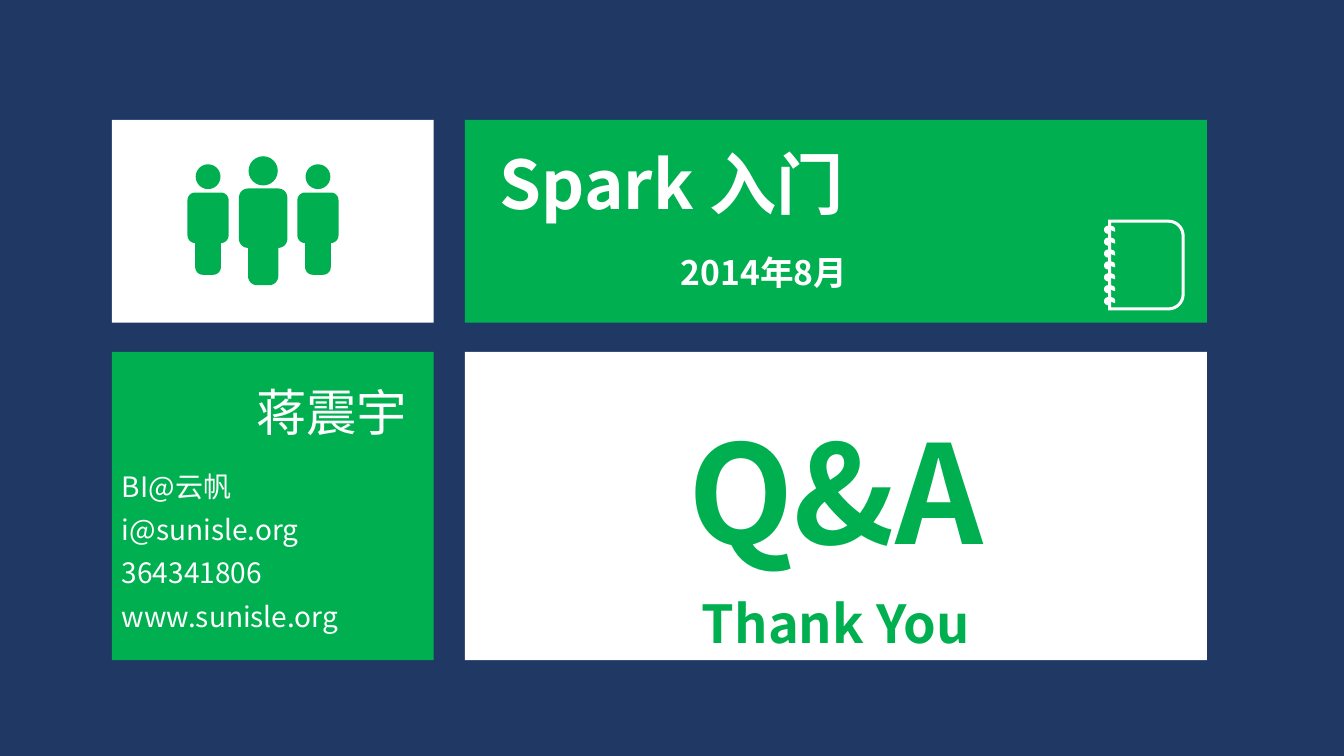
from math import cos, radians, sin

from lxml.etree import SubElement
from pptx import Presentation
from pptx.dml.color import RGBColor
from pptx.enum.shapes import MSO_SHAPE
from pptx.enum.text import MSO_ANCHOR, MSO_AUTO_SIZE, PP_ALIGN
from pptx.oxml.ns import qn
from pptx.util import Inches, Pt

# Content
TITLE = "Spark 入门"
DATE = "2014年8月"
SPEAKER = "蒋震宇"
CONTACTS = ["BI@云帆", "i@sunisle.org", "364341806", "www.sunisle.org"]
CLOSING = [("Q&A", 97.8), ("Thank You", 37.4)]

# Theme
THEME = {
    "navy": RGBColor(0x20, 0x38, 0x64),
    "green": RGBColor(0x00, 0xB0, 0x50),
    "white": RGBColor(0xFF, 0xFF, 0xFF),
    "font": "Noto Sans CJK SC",
    "title": 48, "speaker": 36, "date": 24, "contact": 20,
}

# Layout: two columns (left, width) and two rows (top, height), in inches
COLUMNS = [(1.11, 3.19), (4.61, 7.36)]
ROWS = [(1.19, 2.01), (3.49, 3.06)]
# People: body left, body top, scale, head top
PEOPLE = [(2.37, 1.87, 1, 1.55), (2.95, 1.91, 0.85, 1.63), (1.86, 1.91, 0.85, 1.63)]
RINGS = [2.28 + 0.118 * i for i in range(7)]


def paint(shape, color):
    shape.shadow.inherit = False
    shape.fill.solid()
    shape.fill.fore_color.rgb = THEME[color]
    shape.line.fill.background()
    return shape


def add_block(shapes, kind, box, color):
    return paint(shapes.add_shape(kind, *map(Inches, box)), color)


def add_card(col, row, color):
    (x, w), (y, h) = COLUMNS[col], ROWS[row]
    return add_block(s.shapes, MSO_SHAPE.RECTANGLE, (x, y, w, h), color)


def add_textbox(box, wrap=True):
    tf = s.shapes.add_textbox(*map(Inches, box)).text_frame
    tf.word_wrap = wrap
    tf.auto_size = MSO_AUTO_SIZE.SHAPE_TO_FIT_TEXT
    return tf


def write(tf, text, size, color="white", bold=False, align=PP_ALIGN.LEFT, spacing=None):
    p = tf.paragraphs[0]
    if p.runs:
        p = tf.add_paragraph()
    p.alignment = align
    p.line_spacing = spacing
    r = p.add_run()
    r.text = text
    r.font.name = THEME["font"]
    r.font.size = Pt(size)
    r.font.bold = bold
    r.font.color.rgb = THEME[color]
    SubElement(r.font._element, qn("a:ea")).set("typeface", THEME["font"])


def arc(cx, cy, radius, start, sweep=90, steps=8):
    angles = [radians(start + sweep * i / steps) for i in range(steps + 1)]
    return [(cx + radius * cos(a), cy + radius * sin(a)) for a in angles]


def add_outline(shapes, contours, color):
    contours = [[(Inches(x), Inches(y)) for x, y in c] for c in contours]
    builder = shapes.build_freeform(*contours[0][0])
    for i, points in enumerate(contours):
        if i:
            builder.move_to(*points[0])
        builder.add_line_segments(points[1:], close=True)
    return paint(builder.convert_to_shape(), color)


def body(x, y, k):
    w, waist, h, c = 0.48 * k, 0.59 * k, 0.96 * k, 0.09 * k
    left, right = x + c, x + w - c
    return (arc(left, y + c, c, 180) + arc(right, y + c, c, 270)
            + arc(right, y + waist - c, c, 0)
            + arc(right - c, y + h - c, c, 0) + arc(left + c, y + h - c, c, 90)
            + arc(left, y + waist - c, c, 90))


def notebook():
    cover = [(10.99, 2.18)] + arc(11.59, 2.34, 0.16, 270) + arc(11.59, 2.92, 0.16, 0)
    cover.append((10.99, 3.08))
    for y in reversed(RINGS):
        cover += arc(10.99, y, 0.04, 90, 180)
    page = [(11.02, 3.05)] + arc(11.59, 2.92, 0.13, 90, -90)
    page += arc(11.59, 2.34, 0.13, 0, -90) + [(11.02, 2.21)]
    hook = [(11.02, -0.04), (11.05, -0.03), (11.06, -0.01),
            (11.06, 0.02), (11.03, 0.01), (11.02, 0)]
    page += [(x, y + dy) for y in RINGS for x, dy in hook]
    return [cover, page]


prs = Presentation()
prs.slide_width, prs.slide_height = Inches(13.33), Inches(7.5)
s = prs.slides.add_slide(prs.slide_layouts[6])
s.background.fill.solid()
s.background.fill.fore_color.rgb = THEME["navy"]

# Cards
add_card(1, 0, "green")
closing = add_card(1, 1, "white").text_frame
add_card(0, 0, "white")
contact = add_card(0, 1, "green").text_frame

# Closing words and contact lines
closing.word_wrap = contact.word_wrap = True
closing.vertical_anchor = MSO_ANCHOR.MIDDLE
for text, size in CLOSING:
    write(closing, text, size, color="green", bold=True, align=PP_ALIGN.CENTER, spacing=1.3)
contact.vertical_anchor = MSO_ANCHOR.BOTTOM
contact.margin_bottom = Inches(0.27)
for text in CONTACTS:
    write(contact, text, THEME["contact"], spacing=Pt(31))

# Title and notebook icon
write(add_textbox((4.86, 1.36, 4.06, 0.91)), TITLE, THEME["title"], bold=True)
add_outline(s.shapes, notebook(), "white")

# People icon
people = s.shapes.add_group_shape().shapes
for x, y, k, head_top in PEOPLE:
    add_outline(people, [body(x, y, k)], "green")
    head = 0.29 * k
    add_block(people, MSO_SHAPE.OVAL, (x + (0.48 * k - head) / 2, head_top, head, head), "green")

# Speaker and date
write(add_textbox((2.43, 3.43, 1.72, 0.9), wrap=False), SPEAKER, THEME["speaker"],
      align=PP_ALIGN.CENTER, spacing=1.5)
write(add_textbox((4.86, 2.45, 3.64, 0.5)), DATE, THEME["date"], bold=True, align=PP_ALIGN.RIGHT)

prs.save("out.pptx")
